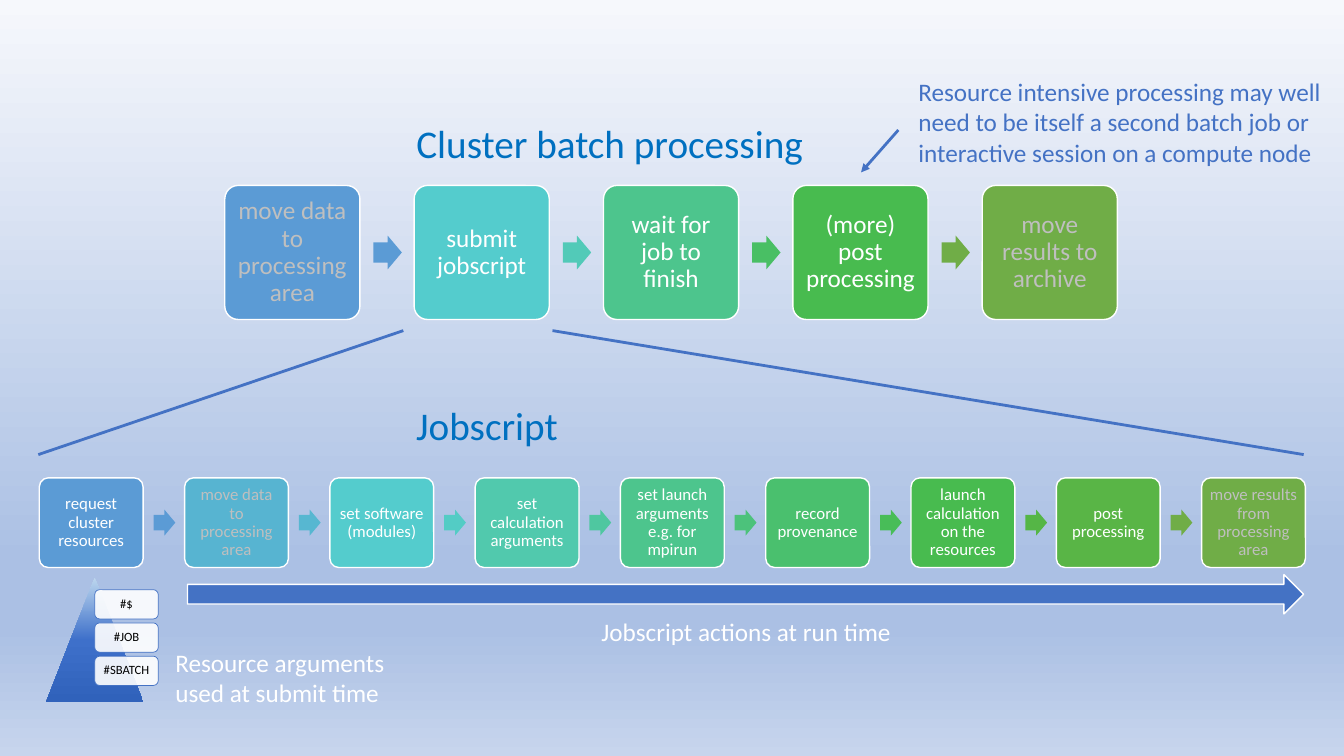
from lxml import etree
from pptx import Presentation
from pptx.dml.color import RGBColor
from pptx.enum.shapes import MSO_CONNECTOR, MSO_SHAPE
from pptx.enum.text import MSO_ANCHOR, MSO_AUTO_SIZE, PP_ALIGN
from pptx.oxml.ns import qn
from pptx.util import Inches, Pt

BOX = MSO_SHAPE.ROUNDED_RECTANGLE
ARROW = MSO_SHAPE.RIGHT_ARROW
PEAK = MSO_SHAPE.ISOSCELES_TRIANGLE
LINE = MSO_CONNECTOR.STRAIGHT
LEFT, MID = PP_ALIGN.LEFT, PP_ALIGN.CENTER
TOP, CENTER = MSO_ANCHOR.TOP, MSO_ANCHOR.MIDDLE
FIXED = MSO_AUTO_SIZE.NONE

CELL = 0.1
FONT = "Calibri"
WHITE, GREY, BLACK = "FFFFFF", "BFBFBF", "000000"
BLUE, HEAD = "4472C4", "0070C0"

BATCH = [
    ("move data to processing area", "5B9BD5", "5B9BD5"),
    ("submit jobscript", "54CCCD", "52CAB8"),
    ("wait for job to finish", "4DC58D", "49BF64"),
    ("(more) post processing", "48BB4F", "70AD47"),
    ("move results to archive", "70AD47", None),
]
SCRIPT = [
    ("request cluster resources", "5B9BD5", "5B9BD5"),
    ("move data to processing area", "57B4D1", "57B7D1"),
    ("set software (modules)", "54CCCD", "53CCC5"),
    ("set calculation arguments", "51C9AD", "4FC7A0"),
    ("set launch arguments\ve.g. for mpirun", "4DC58D", "4CC27B"),
    ("record provenance", "4AC06E", "48BD58"),
    ("launch calculation on the resources", "48BB4F", "55B646"),
    ("post processing", "59B546", "70AD47"),
    ("move results from processing area", "70AD47", None),
]
TAGS = ["#$", "#JOB", "#SBATCH"]
SKY = [(0, "F6F8FC"), (74, "ABC0E4"), (83, "ABC0E4"), (100, "C7D5ED")]
SLOPE = [(0, "BDD7EE"), (50, "3E70CA"), (100, "3062BB")]


def color(code):
    """Turn a hex string into a colour."""
    return RGBColor.from_string(code)


def grid(*cells):
    """Turn grid cells into slide lengths."""
    return [Inches(cell * CELL) for cell in cells]


def shade(owner, fill, stops):
    """Give a fill a downward gradient with the listed stops."""
    fill.gradient()
    fill.gradient_angle = 270
    steps = owner.element.find(".//" + qn("a:gsLst"))
    for old in list(steps):
        steps.remove(old)
    for share, code in stops:
        stop = etree.SubElement(steps, qn("a:gs"), pos=str(share * 1000))
        etree.SubElement(stop, qn("a:srgbClr"), val=code)


def write(shape, text, size, code, align=LEFT, anchor=TOP, inset=None, space=None):
    """Put formatted text into a shape."""
    frame = shape.text_frame
    frame.text = text
    frame.word_wrap = True
    frame.auto_size = FIXED
    frame.vertical_anchor = anchor
    if inset is not None:
        frame.margin_left = frame.margin_right = Inches(inset)
        frame.margin_top = frame.margin_bottom = Inches(inset)
    for para in frame.paragraphs:
        para.alignment = align
        para.line_spacing = space
        for run in para.runs:
            run.font.name = FONT
            run.font.size = Pt(size)
            run.font.color.rgb = color(code)


def draw(slide, kind, place, code, edge=None, width=1, adjust=()):
    """Add a flat preset shape."""
    shape = slide.shapes.add_shape(kind, *grid(*place))
    shape.shadow.inherit = False
    for spot, value in enumerate(adjust):
        shape.adjustments[spot] = value
    if code:
        shape.fill.solid()
        shape.fill.fore_color.rgb = color(code)
    if edge:
        shape.line.color.rgb = color(edge)
        shape.line.width = Pt(width)
    else:
        shape.line.fill.background()
    return shape


def note(slide, place, text, size, code, **style):
    """Add a text box."""
    write(slide.shapes.add_textbox(*grid(*place)), text, size, code, **style)


def link(slide, start, end, tip=False):
    """Add a blue line, with an arrowhead if wanted."""
    line = slide.shapes.add_connector(LINE, *grid(*start, *end))
    line.line.color.rgb = color(BLUE)
    line.line.width = Pt(2)
    if tip:
        stroke = line.element.spPr.find(qn("a:ln"))
        etree.SubElement(stroke, qn("a:tailEnd"), type="triangle")
    etree.SubElement(line.element.spPr, qn("a:effectLst"))


def flow(slide, steps, left, top, pitch, wide, high, size, inset):
    """Add a row of step boxes joined by block arrows."""
    for spot, (text, code, tint) in enumerate(steps):
        x = left + spot * pitch
        box = draw(slide, BOX, (x, top, wide, high), code, WHITE, adjust=(0.1,))
        ink = GREY if text.startswith("move") else WHITE
        write(box, text, size, ink, MID, CENTER, inset, 0.9)
        if tint:
            tall = wide / 4
            place = (x + 1.1 * wide, top + (high - tall) / 2, 0.21 * wide, tall)
            draw(slide, ARROW, place, tint, adjust=(0.6, 0.5))


def stack(slide):
    """Add the triangle with its pile of directive tags."""
    peak = draw(slide, PEAK, (4.6, 57.3, 9.6, 12.3), None)
    shade(peak, peak.fill, SLOPE)
    for spot, text in enumerate(TAGS):
        tag = draw(slide, BOX, (9.4, 58.5 + 3.3 * spot, 6.3, 2.9), WHITE, BLUE, 0.5)
        paint = tag.element.spPr.find(qn("a:solidFill"))[0]
        etree.SubElement(paint, qn("a:alpha"), val="90000")
        write(tag, text, 9, BLACK, MID, CENTER, 0.04, 0.9)


def main():
    """Build the slide and save it."""
    deck = Presentation()
    deck.slide_width, deck.slide_height = Inches(13.33), Inches(7.5)
    slide = deck.slides.add_slide(deck.slide_layouts[5])
    shade(slide, slide.background.fill, SKY)

    title = slide.shapes.title
    title.left, title.top, title.width, title.height = grid(40.3, 11.3, 46.1, 5.7)
    write(title, "Cluster batch processing", 28, HEAD)
    note(slide, (40.3, 39.3, 36.9, 5.7), "Jobscript", 28, HEAD)

    flow(slide, SCRIPT, 3.9, 47.4, 14.41, 10.3, 8.9, 12, 0.05)
    flow(slide, BATCH, 22.3, 18.4, 18.78, 13.4, 13.3, 18, 0.07)
    link(slide, (40, 32.8), (3.8, 45.1))
    link(slide, (54.8, 32.8), (129.3, 45.1))
    link(slide, (89.1, 12.9), (85.4, 17.1), tip=True)

    stack(slide)
    draw(slide, ARROW, (18.6, 57, 110.7, 3.9), BLUE, WHITE)
    note(slide, (24.2, 60.5, 99.6, 4.6), "Jobscript actions at run time", 18, WHITE,
         align=MID, anchor=CENTER, inset=0, space=0.9)
    note(slide, (16.4, 63.7, 26.9, 7.1),
         "Resource arguments used at submit time", 18, WHITE)
    note(slide, (90.1, 7.1, 43.2, 10.1),
         "Resource intensive processing may well need to be itself a second "
         "batch job or interactive session on a compute node", 18, BLUE)
    deck.save("out.pptx")


main()
